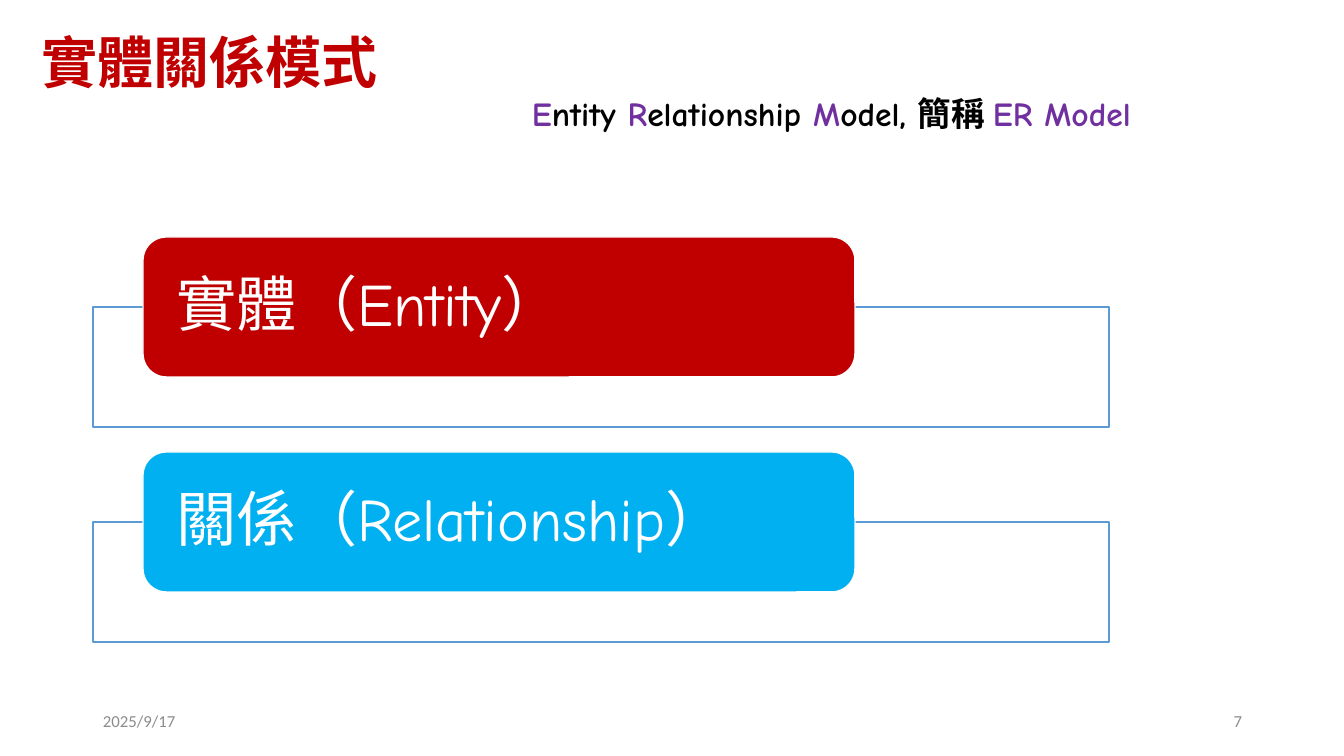
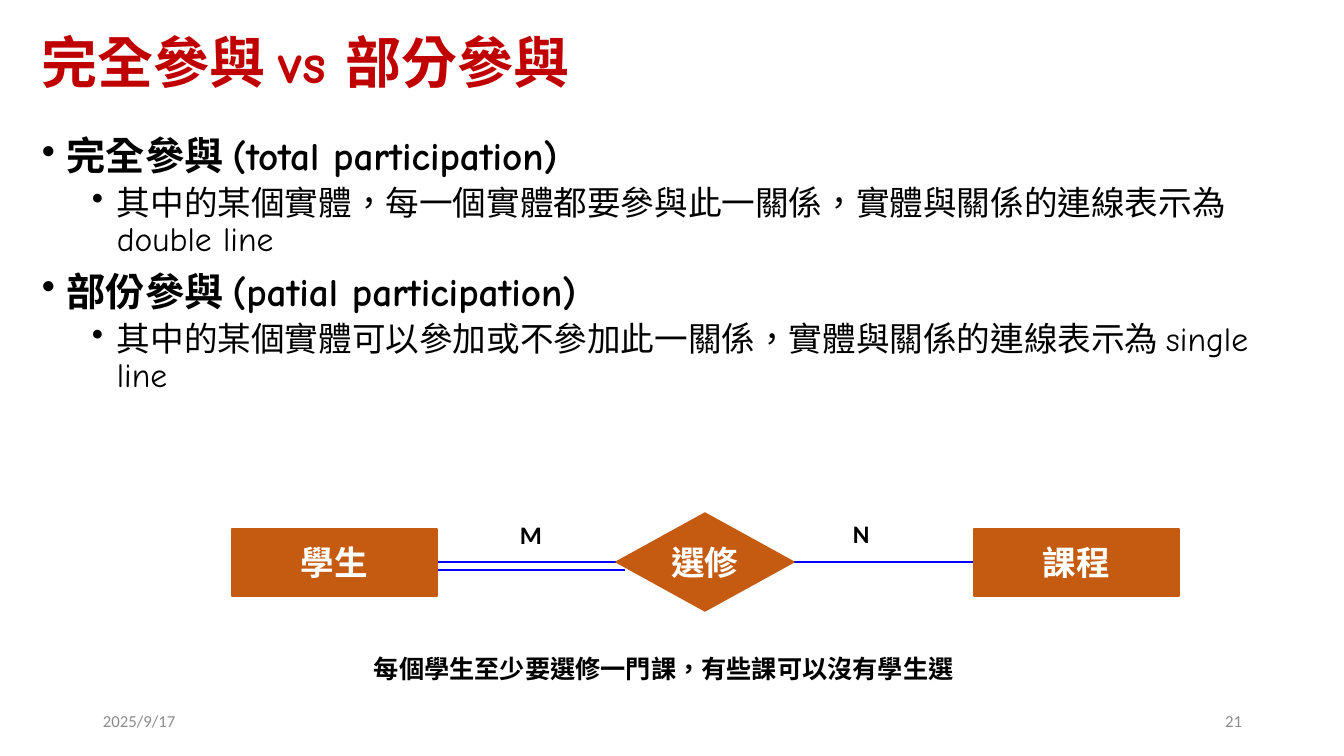
"""Build two slides on the entity relationship model."""
import lxml.etree
import pptx
import pptx.dml.color
import pptx.enum.lang
import pptx.enum.shapes
import pptx.enum.text
import pptx.oxml.ns
import pptx.util

PX = 914400 / 100.8
RED, BLUE, PURPLE, ORANGE = "C00000", "00B0F0", "7030A0", "C55A11"
BLACK, WHITE, GREY, LINK, FRAME = "000000", "FFFFFF", "8C8C8C", "0000FF", "5B9BD5"
COMIC, CALIBRI, CJK = "Comic Neue", "Calibri", "Noto Sans CJK SC"
SHAPE = pptx.enum.shapes.MSO_SHAPE
ALIGN = pptx.enum.text.PP_ALIGN
MIDDLE = pptx.enum.text.MSO_ANCHOR.MIDDLE
qn = pptx.oxml.ns.qn


def px(*values):
    return [pptx.util.Emu(round(v * PX)) for v in values]


def rgb(color):
    return pptx.dml.color.RGBColor.from_string(color)


def write(p, runs, size, font, color=BLACK, bold=False, align=None):
    p.alignment = align
    for text, run_color in runs:
        r = p.add_run()
        r.text = text
        if run_color:
            r.font.color.rgb = rgb(run_color)
    f = p.font
    f.size, f.name, f.bold = pptx.util.Pt(size), font, bold
    f.color.rgb = rgb(color)
    f.language_id = pptx.enum.lang.MSO_LANGUAGE_ID.TRADITIONAL_CHINESE
    latin = p._p.pPr.find(qn("a:defRPr")).find(qn("a:latin"))
    ea = lxml.etree.Element(qn("a:ea"), typeface=CJK)
    latin.addnext(ea)


def add_text(s, box, runs, size, font, color=BLACK, bold=False, align=None, wrap=True):
    tf = s.shapes.add_textbox(*px(*box)).text_frame
    tf.word_wrap = wrap
    if wrap:
        tf.vertical_anchor = MIDDLE
    else:
        tf.auto_size = pptx.enum.text.MSO_AUTO_SIZE.SHAPE_TO_FIT_TEXT
    write(tf.paragraphs[0], runs, size, font, color, bold, align)
    return tf


def add_box(s, kind, box, fill, line):
    sp = s.shapes.add_shape(kind, *px(*box))
    sp.shadow.inherit = False
    sp.fill.solid()
    sp.fill.fore_color.rgb = rgb(fill)
    sp.line.color.rgb = rgb(line)
    sp.line.width = pptx.util.Pt(1)
    sp.text_frame.vertical_anchor = MIDDLE
    return sp


prs = pptx.Presentation()
prs.slide_width, prs.slide_height = px(1344, 756)

slides = []
for title, title_font, number in [
    ("實體關係模式", CJK, "7"),
    ("完全參與 vs 部分參與", COMIC, "21"),
]:
    s = prs.slides.add_slide(prs.slide_layouts[6])
    tf = add_text(s, (32, 15, 1263, 100), [(title, None)], 40, title_font, RED, True)
    tf.paragraphs[0].line_spacing = 0.9
    add_text(s, (93, 701, 302, 40), [("2025/9/17", None)], 12, CALIBRI, GREY)
    add_text(s, (950, 701, 302, 40), [(number, None)], 12, CALIBRI, GREY, align=ALIGN.RIGHT)
    slides.append(s)
model, participation = slides

for i, (text, color) in enumerate([("實體（Entity）", RED), ("關係（Relationship）", BLUE)]):
    top = 237 + 215 * i
    add_box(model, SHAPE.RECTANGLE, (93, top + 70, 1016, 120), WHITE, FRAME)
    sp = add_box(model, SHAPE.ROUNDED_RECTANGLE, (143, top, 712, 140), color, WHITE)
    tf = sp.text_frame
    tf.margin_left, tf.margin_top, tf.margin_right, tf.margin_bottom = px(27, 0, 27, 0)
    p = tf.paragraphs[0]
    write(p, [(text, None)], 43, COMIC, WHITE, align=ALIGN.LEFT)
    p.line_spacing = 0.9

subtitle = [("E", PURPLE), ("ntity ", None), ("R", PURPLE), ("elationship ", None),
            ("M", PURPLE), ("odel, 簡稱 ", None), ("ER Model", PURPLE)]
add_text(model, (522, 88, 705, 50), subtitle, 24, COMIC, bold=True, wrap=False)

tf = participation.shapes.add_textbox(*px(32, 132, 1263, 548)).text_frame
tf.word_wrap = True
for i, (level, text) in enumerate([
    (0, "完全參與 (total participation)"),
    (1, "其中的某個實體，每一個實體都要參與此一關係，實體與關係的連線表示為 double line"),
    (0, "部份參與 (patial participation)"),
    (1, "其中的某個實體可以參加或不參加此一關係，實體與關係的連線表示為 single line"),
]):
    p = tf.add_paragraph() if i else tf.paragraphs[0]
    write(p, [(text, None)], 24 if level else 28, COMIC, bold=not level)
    p.level = level
    p.line_spacing = 0.9
    p.space_before = pptx.util.Pt(5 if level else 10)
    margin, hang = px(25 + 50 * level, -25)
    pPr = p._p.get_or_add_pPr()
    pPr.set("marL", str(margin))
    pPr.set("indent", str(hang))
    bullet = lxml.etree.Element(qn("a:buChar"), char="•")
    pPr.find(qn("a:defRPr")).addprevious(bullet)

for x1, x2, y in [(437, 635, 562), (434, 625, 570), (794, 974, 562)]:
    line = participation.shapes.add_connector(
        pptx.enum.shapes.MSO_CONNECTOR.STRAIGHT, *px(x1, y, x2, y))
    line.line.color.rgb = rgb(LINK)
    line.line.width = pptx.util.Pt(1.5)
    lxml.etree.SubElement(line._element.spPr, qn("a:effectLst"))

for text, kind, box in [
    ("學生", SHAPE.RECTANGLE, (232, 529, 205, 67)),
    ("課程", SHAPE.RECTANGLE, (974, 529, 205, 67)),
    ("選修", SHAPE.FLOWCHART_DECISION, (616, 513, 178, 98)),
]:
    sp = add_box(participation, kind, box, ORANGE, ORANGE)
    write(sp.text_frame.paragraphs[0], [(text, None)], 24, CJK, WHITE, True, ALIGN.CENTER)

for text, box in [
    ("每個學生至少要選修一門課，有些課可以沒有學生選", (364, 648, 606, 40)),
    ("N", (843, 513, 37, 40)),
    ("M", (510, 514, 42, 40)),
]:
    add_text(participation, box, [(text, None)], 18, CALIBRI, bold=True, wrap=False)

prs.save("out.pptx")
